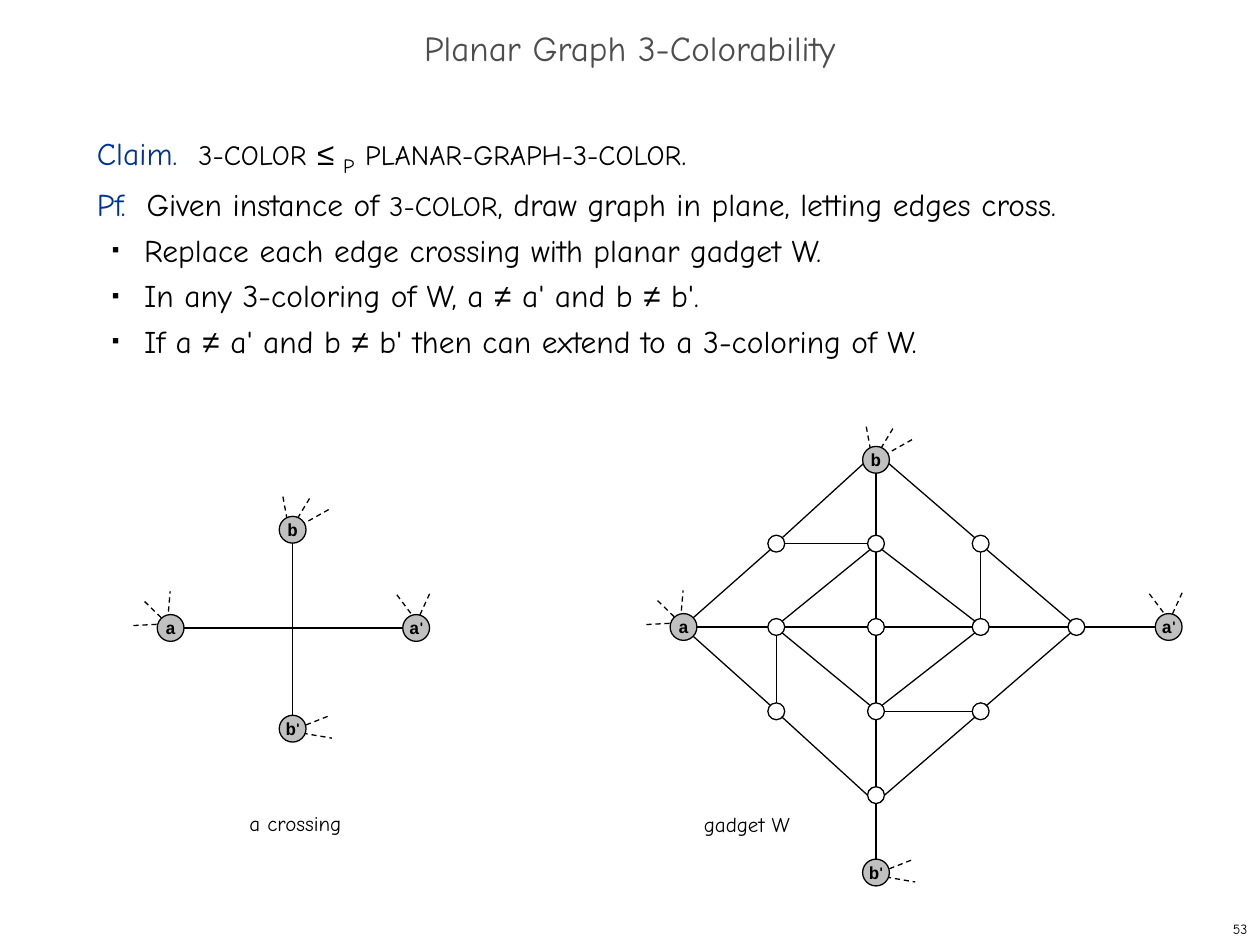
from dataclasses import dataclass
from math import sqrt

from lxml import etree
from pptx import Presentation
from pptx import util as u
from pptx.dml.color import RGBColor
from pptx.enum import dml, shapes, text
from pptx.oxml.ns import qn


@dataclass(frozen=True)
class Theme:
    ink: str = "000000"
    heading: str = "4D4D4D"
    accent: str = "003399"
    terminal: str = "C0C0C0"
    font: str = "Comic Neue"
    symbol_font: str = "Arial"
    label_font: str = "Courier New"
    title_size: int = 20
    body_size: int = 18
    problem_size: int = 16
    caption_size: int = 12
    label_size: int = 10
    number_size: int = 8
    leading: int = 26
    line: float = 0.75


THEME = Theme()
SMALL, LARGE = 0.17, 0.27  # node radii in cm

# Dashed stubs (x1, y1, x2, y2) around the centre of each terminal, in cm
STUBS = {
    "a": [(-0.06, -0.15, -0.01, -0.74), (-0.06, -0.08, -0.55, -0.56),
          (-0.75, -0.05, -0.17, -0.08)],
    "a'": [(0, -0.1, 0.27, -0.69), (0, -0.15, -0.42, -0.71)],
    "b": [(0, 0, 0.73, -0.41), (-0.08, -0.03, -0.21, -0.74),
          (0.34, -0.63, -0.06, 0.03)],
    "b'": [(0.1, -0.01, 0.76, -0.27), (0.2, 0.09, 0.79, 0.19)],
}

CROSSING_NODES = {"a": (0, 1.98), "b": (2.46, 0), "a'": (4.95, 1.98), "b'": (2.46, 4.01)}
CROSSING_EDGES = [("a'", "a"), ("b'", "b")]

# Gadget nodes stand on a grid: name -> (column, row)
COLUMNS = [0, 1.87, 3.88, 5.99, 7.92, 9.78]
ROWS = [0, 1.69, 3.37, 5.07, 6.76, 8.32]
GADGET_GRID = {
    "b": (2, 0), "nw": (1, 1), "n": (2, 1), "ne": (3, 1),
    "a": (0, 2), "w": (1, 2), "hub": (2, 2), "e": (3, 2), "tip": (4, 2), "a'": (5, 2),
    "sw": (1, 3), "s": (2, 3), "se": (3, 3), "foot": (2, 4), "b'": (2, 5),
}
GADGET_EDGES = [edge.split() for edge in (
    "a w", "w hub", "hub e", "e tip", "tip a'",
    "b n", "n hub", "hub s", "s foot", "foot b'",
    "a nw", "nw b", "b ne", "ne tip", "tip se", "se foot", "foot sw", "sw a",
    "w n", "n e", "e s", "s w", "nw n", "ne e", "s se", "w sw",
)]


def color(value):
    return RGBColor.from_string(value)


def write(para, words, size=THEME.body_size, font=THEME.font, ink=THEME.ink,
          bold=False, baseline=None):
    span = para.add_run()
    span.text = words
    span.font.size = u.Pt(size)
    span.font.name = font
    span.font.bold = bold
    span.font.color.rgb = color(ink)
    if baseline is not None:
        span._r.get_or_add_rPr().set("baseline", str(baseline * 1000))


def place(item, left, top, width, height):
    item.left, item.top, item.width, item.height = map(u.Cm, (left, top, width, height))


def set_frame(frame, wrap=True, anchor=text.MSO_ANCHOR.TOP):
    frame.word_wrap = wrap
    frame.auto_size = text.MSO_AUTO_SIZE.NONE
    frame.vertical_anchor = anchor


def set_indent(para, margin=0, first=0, bullet=None):
    props = para._p.get_or_add_pPr()
    props.set("marL", str(u.Cm(margin)))
    props.set("indent", str(u.Cm(first)))
    if bullet is None:
        etree.SubElement(props, qn("a:buNone"))
        return
    paint = etree.SubElement(props, qn("a:buClr"))
    etree.SubElement(paint, qn("a:srgbClr"), val=THEME.ink)
    etree.SubElement(props, qn("a:buSzPct"), val="35000")
    etree.SubElement(props, qn("a:buFont"), typeface=THEME.symbol_font)
    etree.SubElement(props, qn("a:buChar"), char=bullet)


def draw_line(page, x1, y1, x2, y2, dashed=False):
    line = page.shapes.add_connector(
        shapes.MSO_CONNECTOR.STRAIGHT, *map(u.Cm, (x1, y1, x2, y2)))
    line.line.color.rgb = color(THEME.ink)
    line.line.width = u.Pt(THEME.line)
    if dashed:
        line.line.dash_style = dml.MSO_LINE.DASH
    etree.SubElement(line._element.spPr, qn("a:effectLst"))


def draw_node(page, x, y, name):
    """Draw a grey labelled circle for a terminal, a small open one otherwise."""
    radius = LARGE if name in STUBS else SMALL
    node = page.shapes.add_shape(
        shapes.MSO_SHAPE.OVAL, *map(u.Cm, (x - radius, y - radius, 2 * radius, 2 * radius)))
    node.shadow.inherit = False
    node.line.color.rgb = color(THEME.ink)
    node.line.width = u.Pt(THEME.line)
    if name not in STUBS:
        node.fill.background()
        return
    node.fill.solid()
    node.fill.fore_color.rgb = color(THEME.terminal)
    set_frame(node.text_frame, wrap=False, anchor=text.MSO_ANCHOR.MIDDLE)
    para = node.text_frame.paragraphs[0]
    para.alignment = text.PP_ALIGN.CENTER
    write(para, name[0], THEME.label_size, THEME.label_font, bold=True)
    if name[1:]:
        write(para, name[1:], THEME.label_size, bold=True)


def port(start, end, radius, sideways):
    """Return the point on the rim at start, in the one of eight directions nearest end."""
    dx, dy = ((far > near) - (far < near) for near, far in zip(start, end))
    if sideways and dx:
        dy = 0
    reach = radius / sqrt(2) if dx and dy else radius
    return start[0] + dx * reach, start[1] + dy * reach


def draw_graph(page, left, top, nodes, edges, small_ports=(), sideways=()):
    centres = {name: (left + x, top + y) for name, (x, y) in nodes.items()}
    for name, stubs in STUBS.items():
        x, y = centres[name]
        for x1, y1, x2, y2 in stubs:
            draw_line(page, x + x1, y + y1, x + x2, y + y2, dashed=True)
    for edge in edges:
        ends = []
        for near, far in (edge, edge[::-1]):
            radius = LARGE if near in STUBS and near not in small_ports else SMALL
            ends += port(centres[near], centres[far], radius, near in sideways)
        draw_line(page, *ends)
    for name, (x, y) in centres.items():
        draw_node(page, x, y, name)


def add_note(page, left, top, width, height, words, size, align=text.PP_ALIGN.LEFT,
             anchor=text.MSO_ANCHOR.TOP):
    box = page.shapes.add_textbox(*map(u.Cm, (left, top, width, height)))
    set_frame(box.text_frame, wrap=False, anchor=anchor)
    para = box.text_frame.paragraphs[0]
    para.alignment = align
    write(para, words, size)


def fill_title(page, left, top, width, height):
    title = page.shapes.title
    place(title, left, top, width, height)
    set_frame(title.text_frame, anchor=text.MSO_ANCHOR.MIDDLE)
    para = title.text_frame.paragraphs[0]
    para.alignment = text.PP_ALIGN.CENTER
    para.line_spacing = 0.7
    write(para, "Planar Graph 3-Colorability", THEME.title_size, ink=THEME.heading)


def fill_proof(page, left, top, width, height):
    body = page.placeholders[1]
    place(body, left, top, width, height)
    set_frame(body.text_frame)
    accent = {"ink": THEME.accent}
    problem = {"size": THEME.problem_size}
    symbol = {"font": THEME.symbol_font}
    unequal = ("≠", symbol)
    statements = [
        (0, [("Claim.  ", accent), ("3-COLOR", problem), (" ", {}), ("≤ ", symbol),
             ("P", {"size": THEME.title_size, "baseline": -25}), (" ", {}),
             ("PLANAR-GRAPH-3-COLOR", problem), (".", {})]),
        (0, [("Pf.  ", accent), ("Given instance of ", {}), ("3-COLOR", problem),
             (", draw graph in plane, letting edges cross.", {})]),
        (1, [("Replace each edge crossing with planar gadget W.", {})]),
        (1, [("In any 3-coloring of W, a ", {}), unequal, (" a' and b ", {}), unequal,
             (" b'.", {})]),
        (1, [("If a ", {}), unequal, (" a' and b ", {}), unequal,
             (" b' then can extend to a 3-coloring of W.", {})]),
    ]
    for index, (level, spans) in enumerate(statements):
        para = body.text_frame.add_paragraph() if index else body.text_frame.paragraphs[0]
        para.level = level
        para.line_spacing = u.Pt(THEME.leading)
        para.space_before = u.Pt(0)
        if level:
            set_indent(para, 0.95, -0.64, "■")
        else:
            set_indent(para)
        for words, style in spans:
            write(para, words, **style)


def draw_crossing(page, left, top):
    draw_graph(page, left, top, CROSSING_NODES, CROSSING_EDGES)
    add_note(page, left + 1.34, top + 5.53, 2.36, 0.76, "a crossing", THEME.caption_size)


def draw_gadget(page, left, top):
    nodes = {name: (COLUMNS[col], ROWS[row]) for name, (col, row) in GADGET_GRID.items()}
    draw_graph(page, left, top, nodes, GADGET_EDGES,
               small_ports=("a", "b"), sideways=("b", "foot"))
    add_note(page, left + 0.16, top + 6.96, 2.24, 0.76, "gadget W", THEME.caption_size)


def main():
    deck = Presentation()
    deck.slide_width, deck.slide_height = u.Cm(25.4), u.Cm(19.05)
    page = deck.slides.add_slide(deck.slide_layouts[1])
    fill_title(page, 0, 0.43, 25.4, 1.27)
    fill_proof(page, 1.7, 2.54, 21.8, 15.03)
    draw_crossing(page, 3.44, 10.68)
    draw_gadget(page, 13.78, 9.27)
    add_note(page, 20.12, 18.41, 5.28, 0.64, "53", THEME.number_size,
             text.PP_ALIGN.RIGHT, text.MSO_ANCHOR.MIDDLE)
    deck.save("out.pptx")


if __name__ == "__main__":
    main()
